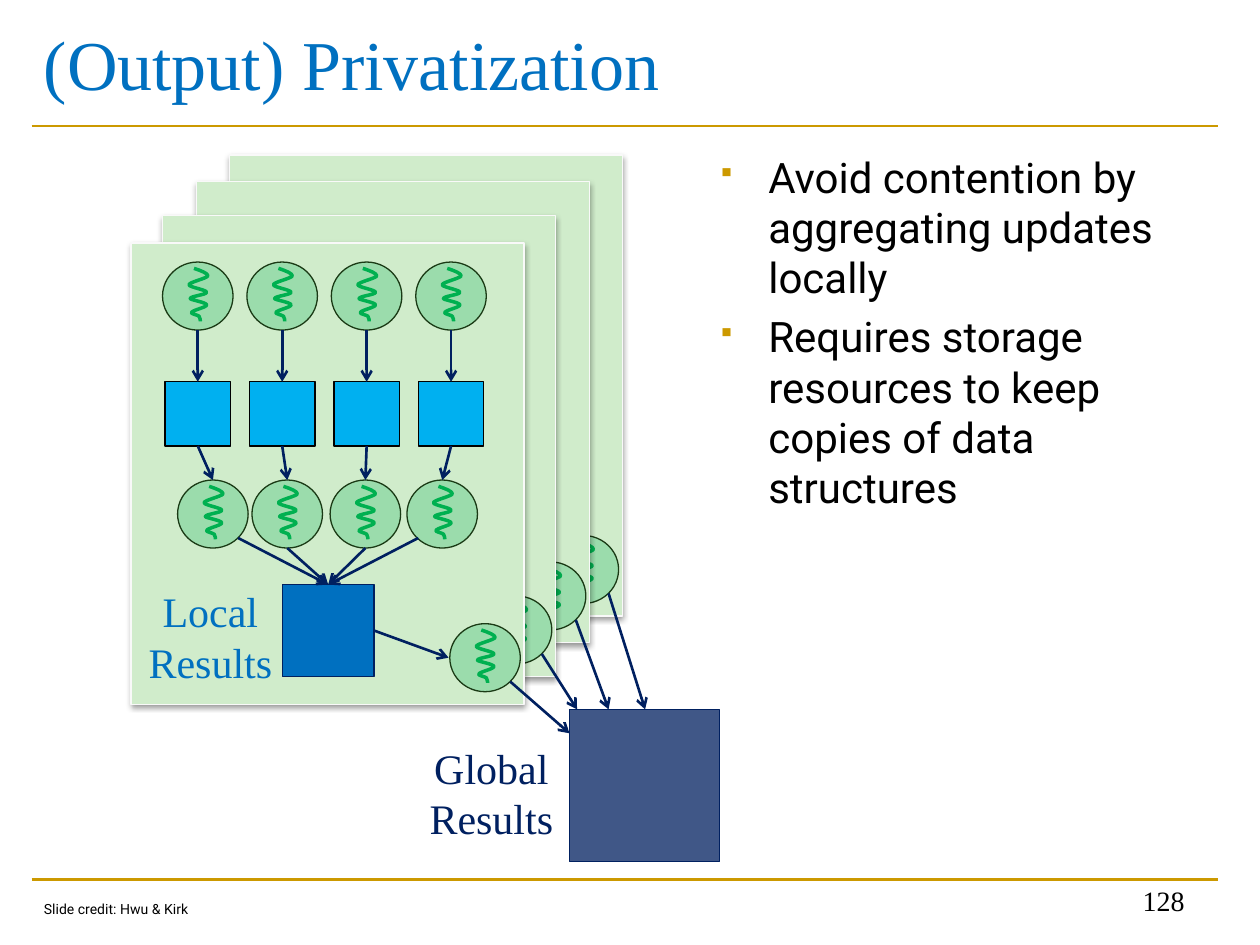
from lxml.etree import SubElement
from pptx import Presentation
from pptx.dml.color import RGBColor
from pptx.enum.shapes import MSO_CONNECTOR as Link, MSO_SHAPE as Shape
from pptx.enum.text import MSO_ANCHOR as Anchor, PP_ALIGN as Align
from pptx.oxml.ns import qn
from pptx.util import Inches, Pt

COLORS = {
    "gold": "CC9900", "title": "0070C0", "text": "000000", "panel": "D0ECCB",
    "panel_edge": "F9F9F9", "thread": "00B050", "thread_edge": "1A3A15",
    "private": "00B0F0", "local": "0070C0", "navy": "002060",
}
SERIF, SANS = "Times New Roman", "Roboto"
TITLE = "(Output) Privatization"
BULLETS = [
    "Avoid contention by aggregating updates locally",
    "Requires storage resources to keep copies of data structures",
]
LABELS = [
    (["Local", "Results"], (1.07, 4.6), "local"),
    (["Global", "Results"], (3.3, 5.84), "navy"),
]
CREDIT, PAGE_NUMBER = "Slide credit: Hwu & Kirk", "128"

RULES = (1, 6.98)
PANEL = (3.12, 3.66)
PANELS = [
    ((1.82, 1.23), (5.12, 5.63)),
    ((1.56, 1.44), (4.83, 5.63)),
    ((1.29, 1.71), (4.58, 5.63)),
    ((1.04, 1.93), (4.52, 5.82)),
]
THREAD = (0.56, 0.54)
PANEL_THREAD = (2.53, 3.02)
THREAD_EXIT = (0.48, 0.46)
COLUMN_CENTERS = [1.57 + 0.67 * column for column in range(4)]
GATHER_CENTERS = [1.69, 2.28, 2.9, 3.51]
GATHER_EXITS = [(1.89, 4.27), (2.28, 4.35), (2.9, 4.35), (3.32, 4.27)]
TOP_ROW, PRIVATE_ROW, GATHER_ROW = 2.08, 3.03, 3.81
PRIVATE = (0.52, 0.51)
LOCAL_BOX = (2.24, 4.64, 0.73, 0.73)
GLOBAL_BOX = (4.52, 5.63, 1.19, 1.21)
SQUIGGLE_UNIT = Inches(0.01)
SQUIGGLE_START = (25, 5)
SQUIGGLE_CURVES = [
    ((31, 7), (36, 9), (36, 11)),
    ((35, 13), (21, 16), (21, 18)),
    ((21, 20), (35, 22), (35, 24)),
    ((35, 26), (22, 27), (22, 29)),
    ((22, 30), (35, 32), (35, 34)),
    ((35, 36), (24, 38), (23, 40)),
    ((22, 41), (28, 42), (29, 43)),
    ((30, 44), (30, 47), (30, 47)),
]

deck = Presentation()
deck.slide_width, deck.slide_height = Inches(10), Inches(7.5)
page = deck.slides.add_slide(deck.slide_layouts[6])


def color(name):
    return RGBColor.from_string(COLORS[name])


def inches(values):
    return [Inches(value) for value in values]


def add_shape(kind, frame, fill, edge, opacity=None):
    shape = page.shapes.add_shape(kind, *inches(frame))
    shape.shadow.inherit = False
    shape.fill.solid()
    shape.fill.fore_color.rgb = color(fill)
    shape.line.color.rgb = color(edge)
    shape.line.width = Pt(0.75)
    if opacity:
        tint = shape._element.spPr.find(qn("a:solidFill"))[0]
        SubElement(tint, qn("a:alpha"), val=str(opacity * 1000))
    return shape


def add_line(start, end, name="navy", arrow=True):
    line = page.shapes.add_connector(Link.STRAIGHT, *inches((*start, *end)))
    line.line.color.rgb = color(name)
    line.line.width = Pt(1.5)
    if arrow:
        SubElement(line.line._get_or_add_ln(), qn("a:tailEnd"), type="arrow")
    SubElement(line._element.spPr, qn("a:effectLst"))


def bend_segments(shape):
    outline = next(shape._element.iter(qn("a:path")))
    segments = outline.findall(qn("a:lnTo"))
    for first in range(0, len(segments), 3):
        curve = SubElement(outline, qn("a:cubicBezTo"))
        for segment in segments[first:first + 3]:
            curve.append(segment[0])
            outline.remove(segment)


def add_thread(left, top):
    add_shape(Shape.OVAL, (left, top, *THREAD), "thread", "thread_edge", 25)
    builder = page.shapes.build_freeform(*SQUIGGLE_START, scale=SQUIGGLE_UNIT)
    builder.add_line_segments([point for curve in SQUIGGLE_CURVES for point in curve],
                              close=False)
    squiggle = builder.convert_to_shape(Inches(left), Inches(top))
    bend_segments(squiggle)
    squiggle.shadow.inherit = False
    squiggle.fill.background()
    squiggle.line.color.rgb = color("thread")
    squiggle.line.width = Pt(2)


def add_panel(corner, target):
    panel = add_shape(Shape.RECTANGLE, (*corner, *PANEL), "panel", "panel_edge")
    effects = panel._element.spPr.find(qn("a:effectLst"))
    shadow = SubElement(effects, qn("a:outerShdw"), blurRad=str(Pt(3.1)),
                        dist=str(Pt(1.6)), dir="5400000", rotWithShape="0")
    tint = SubElement(shadow, qn("a:srgbClr"), val=COLORS["text"])
    SubElement(tint, qn("a:alpha"), val="38000")
    left, top = (a + b for a, b in zip(corner, PANEL_THREAD))
    add_thread(left, top)
    add_line((left + THREAD_EXIT[0], top + THREAD_EXIT[1]), target)


def add_text(frame, lines, font, size, name, align=Align.LEFT, anchor=Anchor.TOP,
             wrap=True, bullets=False):
    box = page.shapes.add_textbox(*inches(frame))
    text = box.text_frame
    text.word_wrap, text.vertical_anchor = wrap, anchor
    for index, line in enumerate(lines):
        para = text.paragraphs[0] if index == 0 else text.add_paragraph()
        para.text, para.alignment = line, align
        if bullets:
            if index:
                para.space_before = Pt(size * 0.2)
            props = para._p.get_or_add_pPr()
            props.set("marL", str(Inches(0.38)))
            props.set("indent", str(Inches(-0.38)))
            tint = SubElement(props, qn("a:buClr"))
            SubElement(tint, qn("a:srgbClr"), val=COLORS["gold"])
            SubElement(props, qn("a:buSzPct"), val="65000")
            SubElement(props, qn("a:buFont"), typeface="Wingdings", charset="2")
            SubElement(props, qn("a:buChar"), char="§")
        para.font.name, para.font.size = font, Pt(size)
        para.font.color.rgb = color(name)


for height in RULES:
    add_line((0.25, height), (9.67, height), "gold", arrow=False)
add_text((0.25, 0, 9.42, 0.99), [TITLE], SERIF, 40, "title", anchor=Anchor.MIDDLE)
add_text((5.62, 1.15, 4.1, 4.95), BULLETS, SANS, 24, "text", bullets=True)

for corner, target in PANELS:
    add_panel(corner, target)

local_top = (LOCAL_BOX[0] + LOCAL_BOX[2] / 2, LOCAL_BOX[1])
local_side = (LOCAL_BOX[0] + LOCAL_BOX[2], LOCAL_BOX[1] + LOCAL_BOX[3] / 2)
add_shape(Shape.RECTANGLE, LOCAL_BOX, "local", "navy")
for center, gather, leave in zip(COLUMN_CENTERS, GATHER_CENTERS, GATHER_EXITS):
    add_shape(Shape.RECTANGLE, (center - PRIVATE[0] / 2, PRIVATE_ROW, *PRIVATE),
              "private", "text")
    add_thread(center - THREAD[0] / 2, TOP_ROW)
    add_thread(gather - THREAD[0] / 2, GATHER_ROW)
    add_line((center, TOP_ROW + THREAD[1]), (center, PRIVATE_ROW))
    add_line((center, PRIVATE_ROW + PRIVATE[1]), (gather, GATHER_ROW))
    add_line(leave, local_top)
add_line(local_side, (3.56, 5.22))
add_shape(Shape.RECTANGLE, GLOBAL_BOX, "navy", "navy", 75)

for lines, corner, name in LABELS:
    add_text((*corner, 1.2, 0.92), lines, SERIF, 24, name, Align.CENTER, wrap=False)
add_text((7.17, 6.83, 2.33, 0.5), [PAGE_NUMBER], SERIF, 16, "text", Align.RIGHT,
         Anchor.BOTTOM)
add_text((0.25, 7.1, 1.39, 0.24), [CREDIT], SANS, 8, "text", wrap=False)

deck.save("out.pptx")
